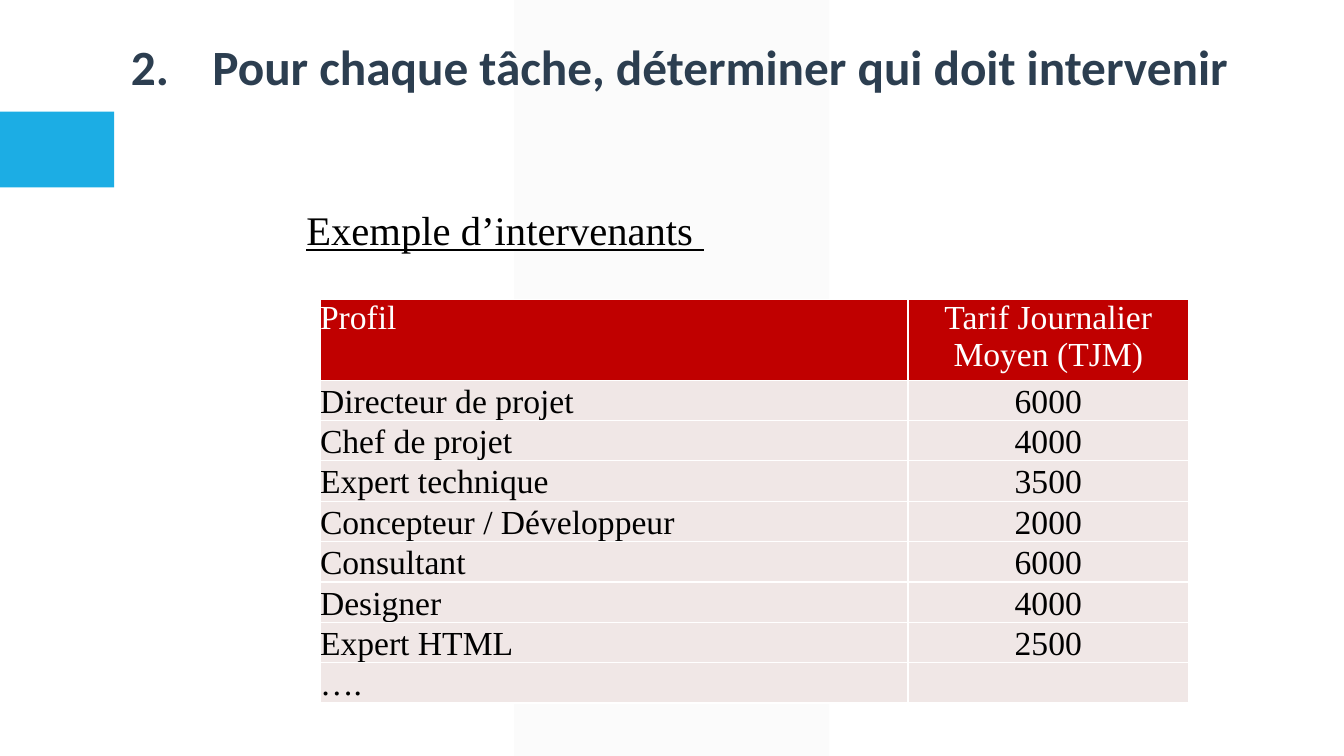
from dataclasses import dataclass

from lxml import etree
from pptx import Presentation
from pptx.dml.color import RGBColor
from pptx.enum.shapes import MSO_SHAPE
from pptx.enum.text import MSO_ANCHOR, PP_ALIGN
from pptx.oxml.ns import qn
from pptx.util import Inches, Pt

RECTANGLE = MSO_SHAPE.RECTANGLE
PARALLELOGRAM = MSO_SHAPE.PARALLELOGRAM
LEFT, CENTER = PP_ALIGN.LEFT, PP_ALIGN.CENTER
TOP, BOTTOM = MSO_ANCHOR.TOP, MSO_ANCHOR.BOTTOM

GRID_COLUMNS, GRID_ROWS = 160, 90

PROFILES = [
    ("Profil", "Tarif Journalier Moyen (TJM)"),
    ("Directeur de projet", "6000"),
    ("Chef de projet", "4000"),
    ("Expert technique", "3500"),
    ("Concepteur / Développeur", "2000"),
    ("Consultant", "6000"),
    ("Designer", "4000"),
    ("Expert HTML", "2500"),
    ("….", ""),
]


@dataclass(frozen=True)
class Theme:
    heading_font: str = "Calibri"
    body_font: str = "Times New Roman"
    heading_size: float = 35.2
    subtitle_size: float = 29
    table_size: float = 24
    heading: str = "2C3E50"
    text: str = "000000"
    white: str = "FFFFFF"
    band: str = "F2F2F2"
    accent: str = "1CADE4"
    header_fill: str = "C00000"
    body_fill: str = "F0E7E6"


class SlideBuilder:
    def __init__(self, presentation, theme):
        self.theme = theme
        self.slide = presentation.slides.add_slide(presentation.slide_layouts[6])
        self.column = presentation.slide_width / GRID_COLUMNS
        self.row = presentation.slide_height / GRID_ROWS

    def place(self, left, top, width, height):
        return (round(left * self.column), round(top * self.row),
                round(width * self.column), round(height * self.row))

    def block(self, kind, area, color, opacity=None):
        shape = self.slide.shapes.add_shape(kind, *self.place(*area))
        shape.shadow.inherit = False
        shape.fill.solid()
        shape.fill.fore_color.rgb = RGBColor.from_string(color)
        shape.line.fill.background()
        if opacity is not None:
            color_element = shape.fill._xPr.find(qn("a:solidFill"))[0]
            etree.SubElement(color_element, qn("a:alpha"), val=str(opacity * 1000))
        return shape

    def style(self, paragraph, font_name, size, color, bold=False, underline=False):
        for run in paragraph.runs:
            run.font.name = font_name
            run.font.size = Pt(size)
            run.font.color.rgb = RGBColor.from_string(color)
            run.font.bold = bold
            run.font.underline = underline

    def text(self, area, content, *style, **emphasis):
        shape = self.slide.shapes.add_textbox(*self.place(*area))
        shape.text_frame.word_wrap = True
        shape.text_frame.text = content
        paragraph = shape.text_frame.paragraphs[0]
        self.style(paragraph, *style, **emphasis)
        return paragraph

    def number(self, paragraph, start, indent, color):
        properties = paragraph._p.get_or_add_pPr()
        properties.set("marL", str(Inches(indent)))
        properties.set("indent", str(-Inches(indent)))
        bullet_color = etree.SubElement(properties, qn("a:buClr"))
        etree.SubElement(bullet_color, qn("a:srgbClr"), val=color)
        etree.SubElement(properties, qn("a:buAutoNum"),
                         type="arabicPeriod", startAt=str(start))

    def borders(self, cell, color, width):
        properties = cell._tc.get_or_add_tcPr()
        for index, side in enumerate(("lnL", "lnR", "lnT", "lnB")):
            line = etree.Element(qn(f"a:{side}"), w=str(Pt(width)))
            fill = etree.SubElement(line, qn("a:solidFill"))
            etree.SubElement(fill, qn("a:srgbClr"), val=color)
            properties.insert(index, line)

    def cell(self, cell, content, alignment, header):
        theme = self.theme
        cell.margin_left = cell.margin_right = 0
        cell.margin_top = cell.margin_bottom = 0
        cell.vertical_anchor = TOP if header else BOTTOM
        cell.fill.solid()
        cell.fill.fore_color.rgb = RGBColor.from_string(
            theme.header_fill if header else theme.body_fill)
        self.borders(cell, theme.white, 1)
        cell.text_frame.text = content
        paragraph = cell.text_frame.paragraphs[0]
        paragraph.alignment = alignment
        self.style(paragraph, theme.body_font, theme.table_size,
                   theme.white if header else theme.text)

    def table(self, left, top, widths, row_height, records):
        heights = [2 * row_height] + [row_height] * (len(records) - 1)
        area = self.place(left, top, sum(widths), sum(heights))
        table = self.slide.shapes.add_table(len(records), len(widths), *area).table
        table.first_row = table.horz_banding = False
        for column, width in zip(table.columns, widths):
            column.width = round(width * self.column)
        for index, (row, height, record) in enumerate(zip(table.rows, heights, records)):
            row.height = round(height * self.row)
            for cell, content, alignment in zip(row.cells, record, (LEFT, CENTER)):
                self.cell(cell, content, alignment, index == 0)


def main():
    presentation = Presentation()
    presentation.slide_width = Inches(13.33)
    presentation.slide_height = Inches(7.5)
    theme = Theme()
    builder = SlideBuilder(presentation, theme)

    band = builder.block(PARALLELOGRAM, (61.2, 0, 37.5, GRID_ROWS), theme.band, 28)
    band.adjustments[0] = 0
    builder.block(RECTANGLE, (0, 13.3, 13.6, 9), theme.accent)

    title = builder.text((14.4, 3.7, 139.7, 19.1),
                         "Pour chaque tâche, déterminer qui doit intervenir",
                         theme.heading_font, theme.heading_size, theme.heading, bold=True)
    builder.number(title, 2, 0.81, theme.heading)

    builder.table(38.1, 35.65, (70, 33.4), 4.43, PROFILES)
    builder.text((35.3, 23.8, 79.9, 7.1), "Exemple d’intervenants ",
                 theme.body_font, theme.subtitle_size, theme.text, underline=True)
    presentation.save("out.pptx")


if __name__ == "__main__":
    main()
